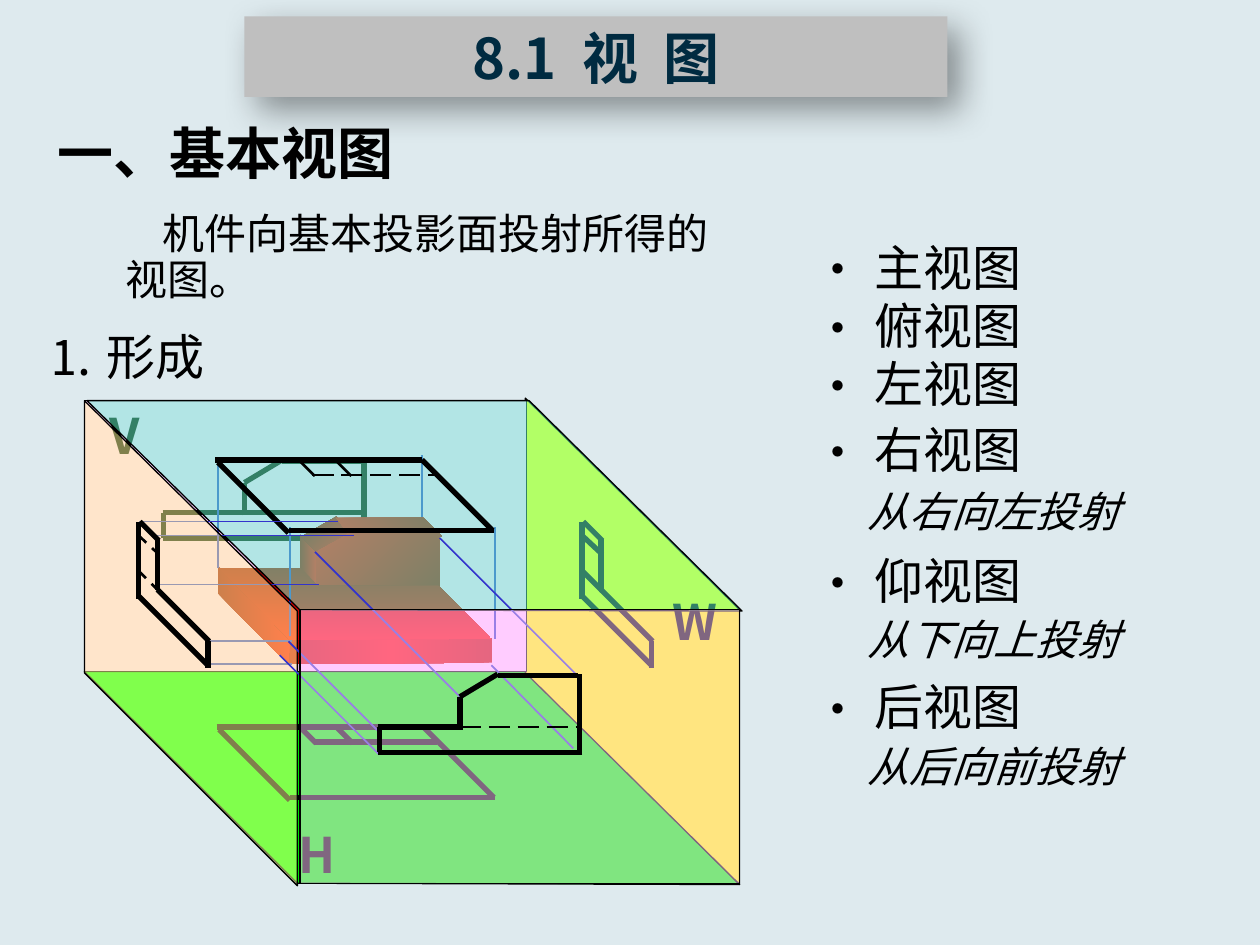
from lxml import etree
from pptx import Presentation
from pptx.dml.color import RGBColor
from pptx.enum import dml, shapes, text
from pptx.oxml import parse_xml
from pptx.oxml.ns import nsdecls, qn
from pptx.util import Inches, Pt

THEME = {
    "font": "Noto Sans CJK SC",
    "background": "DEEAEE", "banner": "BFBFBF", "title": "002B41", "ink": "000000",
    "ray": "3333CC", "floor": "00FF00", "side": "FFFF00", "back": "FFCCFF",
    "top": "66FFCC", "left": "FFFF99", "front": "FFCCFF",
    "heading size": 32, "list size": 28, "note size": 24,
    "thick": 3, "hidden": 1.5, "ray width": 1, "edge": 0.75,
}

# Content: (text, left, top, width, height, style)
TITLE = ["8.1", "视", "图"]
VIEWS = ["主视图", "俯视图", "左视图"]
CAPTIONS = [
    ("一、基本视图", 0.36, 0.89, 4.13, 0.64, {"size": "heading size", "bold": True}),
    ("⒈ 形成", -0.13, 2.54, 2.25, 0.57, {"center": True}),
    ("机件向基本投影面投射所得的视图。", 0.9, 1.63, 5.12, 0.83,
     {"size": "note size", "pitch": 26.3, "first": 0.29}),
]
MORE_VIEWS = [("右视图", 3.28, "从右向左投射", 3.8),
              ("仰视图", 4.32, "从下向上投射", 4.81),
              ("后视图", 5.32, "从后向前投射", 5.82)]
PLANE_LETTERS = [("V", 0.79, 3.17, 0.4, 0.57), ("W", 5.23, 4.64, 0.57, 0.57),
                 ("H", 2.31, 6.49, 0.42, 0.57)]

# Faces of the projection box: (points, colour, opacity in percent)
FLOOR = ([(0.67, 5.33), (4.17, 5.33), (5.87, 7.02), (2.36, 7.01)], "floor", 100)
SIDE = ([(4.17, 5.34), (5.87, 7.02), (5.87, 4.84), (4.17, 3.16)], "side", 100)
BACK = ([(0.67, 3.18), (4.18, 3.18), (4.18, 5.33), (0.67, 5.33)], "back", 100)
TOP = ([(0.69, 3.18), (4.2, 3.18), (5.89, 4.85), (2.38, 4.84)], "top", 50)
LEFT = ([(0.67, 5.34), (2.36, 7.03), (2.36, 4.85), (0.67, 3.18)], "left", 50)
FRONT = ([(2.38, 4.84), (5.87, 4.84), (5.87, 7.01), (2.38, 7.01)], "front", 50)

# Machine part: (points, gradient colours, angle)
PART = [
    ([(2.29, 5.07), (3.91, 5.06), (3.91, 5.26), (2.29, 5.27)], ["CC0000", "FF0000", "CC0000"], 0),
    ([(1.73, 4.49), (1.73, 4.71), (2.29, 5.27), (2.3, 5.07)], ["9B0000", "FF0000"], 0),
    ([(2.38, 4.24), (2.38, 4.52), (2.51, 4.65), (2.51, 4.38)], ["900000", "FF0000"], 0),
    ([(2.39, 4.26), (2.67, 4.1), (2.79, 4.24), (2.51, 4.38)], ["760000", "FF0000"], 45),
    ([(2.67, 4.11), (3.36, 4.11), (3.51, 4.26), (2.78, 4.26)], ["FF0000", "900000"], 315),
    ([(2.51, 4.38), (2.51, 4.65), (3.49, 4.66), (3.49, 4.23), (2.78, 4.23)],
     ["FF0000", "960000"], 45),
    ([(2.39, 4.51), (2.52, 4.65), (3.48, 4.65), (3.9, 5.07), (2.3, 5.08), (1.74, 4.51)],
     ["A00000", "FF0000"], 90),
]

# Views as (outline segments, segments that may be hidden), from their own origin
PLAN = ([(0, 0, 1.64, 0), (0.58, 0.56, 2.21, 0.56), (1.64, 0, 2.2, 0.56), (0.02, 0.02, 0.58, 0.58)],
        [(0.77, 0.12, 1.75, 0.12), (0.96, 0.01, 1.08, 0.13), (0.67, 0.01, 0.79, 0.13)])
ELEVATION = ([(0.65, 0.02, 0.65, -0.24), (0.65, -0.24, 0.95, -0.42), (1.62, 0.2, 0, 0.2),
              (1.6, 0.2, 1.6, -0.42), (1.59, -0.41, 0.95, -0.41), (0.01, 0, 0.01, 0.2),
              (0, 0, 0.65, 0)],
             [(0.65, 0, 1.6, 0)])
PROFILE = ([(0, 0, 0, 0.61), (0.15, 0.14, 0.15, 0.54), (0.01, 0, 0.16, 0.15),
            (0.55, 1.16, 0.55, 0.95), (0, 0.59, 0.55, 1.14), (0.15, 0.54, 0.56, 0.95)],
           [(0, 0.11, 0.16, 0.26), (0, 0.39, 0.16, 0.55)])

# Projection rays towards each face
RAYS_UP = [(1.73, 4.51, 1.73, 3.64), (2.3, 5.05, 2.3, 4.18), (3.93, 5.07, 3.93, 4.18),
           (3.35, 4.1, 3.35, 3.61)]
RAYS_LEFT = [(2.32, 5.27, 1.64, 5.27), (2.32, 5.09, 1.66, 5.09), (2.68, 4.14, 1.1, 4.14),
             (2.81, 4.25, 1.23, 4.25), (2.53, 4.64, 1.23, 4.64)]
RAYS_FRONT = [(3.9, 5.28, 4.55, 5.94), (2.22, 5.2, 3.01, 5.99), (2.29, 5.09, 3.01, 5.81),
              (3.49, 4.27, 4.59, 5.37), (2.5, 4.38, 3.67, 5.55)]

deck = Presentation()
deck.slide_width, deck.slide_height = Inches(10), Inches(7.5)
slide = deck.slides.add_slide(deck.slide_layouts[1])


def rgb(name):
    return RGBColor.from_string(THEME[name])


def write(paragraph, words, size="list size", color="ink", bold=False, italic=False, gap=None):
    run = paragraph.add_run()
    run.text = words
    run.font.color.rgb = rgb(color)
    formats = {"name": THEME["font"], "size": Pt(THEME[size]), "bold": bold, "italic": italic}
    for key, value in formats.items():
        setattr(run.font, key, value)
    properties = run.font._element
    etree.SubElement(properties, qn("a:ea"), typeface=THEME["font"])
    if gap:
        properties.set("spc", str(gap))


def place(box, left, top, width, height):
    box.left, box.top, box.width, box.height = map(Inches, (left, top, width, height))


def set_frame(box, wrap=True):
    frame = box.text_frame
    formats = {"word_wrap": wrap, "auto_size": text.MSO_AUTO_SIZE.NONE,
               "vertical_anchor": text.MSO_ANCHOR.MIDDLE}
    for key, value in formats.items():
        setattr(frame, key, value)
    return frame


def bullet(paragraph):
    properties = paragraph._p.get_or_add_pPr()
    properties.set("marL", str(Inches(0.48)))
    properties.set("indent", str(Inches(-0.48)))
    etree.SubElement(properties, qn("a:buFont"), typeface=THEME["font"])
    etree.SubElement(properties, qn("a:buChar"), char="•")


def caption(words, left, top, width, height, center=False, pitch=None, first=0,
            listed=False, wrap=True, **style):
    box = slide.shapes.add_textbox(*map(Inches, (left, top, width, height)))
    paragraph = set_frame(box, wrap).paragraphs[0]
    paragraph.alignment = text.PP_ALIGN.CENTER if center else text.PP_ALIGN.LEFT
    if pitch:
        paragraph.line_spacing = Pt(pitch)
    if first:
        paragraph._p.get_or_add_pPr().set("indent", str(Inches(first)))
    if listed:
        bullet(paragraph)
    write(paragraph, words, **style)


def polygon(points):
    corners = [(Inches(x), Inches(y)) for x, y in points]
    builder = slide.shapes.build_freeform(*corners[0], scale=1.0)
    builder.add_line_segments(corners[1:], close=True)
    shape = builder.convert_to_shape()
    shape.shadow.inherit = False
    return shape


def face(points, color, opacity):
    shape = polygon(points)
    shape.fill.solid()
    shape.fill.fore_color.rgb = rgb(color)
    shape.line.color.rgb = rgb("ink")
    shape.line.width = Pt(THEME["edge"])
    if opacity < 100:
        tint = shape._element.spPr.find(qn("a:solidFill"))[0]
        etree.SubElement(tint, qn("a:alpha"), val=str(opacity * 1000))


def solid_part(points, colors, angle):
    shape = polygon(points)
    shape.line.fill.background()
    stops = "".join(f'<a:gs pos="{100000 * i // (len(colors) - 1)}"><a:srgbClr val="{c}"/></a:gs>'
                    for i, c in enumerate(colors))
    gradient = parse_xml(f'<a:gradFill {nsdecls("a")} rotWithShape="1"><a:gsLst>{stops}</a:gsLst>'
                         f'<a:lin ang="{angle * 60000}" scaled="0"/></a:gradFill>')
    shape._element.spPr.find(qn("a:custGeom")).addnext(gradient)


def segments(ends, color="ink", width="thick", dash=None, origin=(0, 0)):
    dx, dy = origin
    for x1, y1, x2, y2 in ends:
        line = slide.shapes.add_connector(shapes.MSO_CONNECTOR.STRAIGHT, Inches(x1 + dx),
                                          Inches(y1 + dy), Inches(x2 + dx), Inches(y2 + dy))
        line.line.color.rgb = rgb(color)
        line.line.width = Pt(THEME[width])
        if dash:
            line.line.dash_style = dash
        etree.SubElement(line._element.spPr, qn("a:effectLst"))


def view(drawing, origin, dash=None):
    outline, hidden = drawing
    segments(outline, origin=origin)
    segments(hidden, width="hidden" if dash else "thick", dash=dash, origin=origin)


# Background and banner title
slide.background.fill.solid()
slide.background.fill.fore_color.rgb = rgb("background")
banner = slide.shapes.title
place(banner, 1.94, 0.13, 5.58, 0.64)
banner.fill.solid()
banner.fill.fore_color.rgb = rgb("banner")
banner._element.spPr.append(parse_xml(
    f'<a:effectLst {nsdecls("a")}><a:outerShdw blurRad="254000" dist="127000" dir="2700000" '
    'algn="tl" rotWithShape="0"><a:srgbClr val="000000"><a:alpha val="40000"/></a:srgbClr>'
    '</a:outerShdw></a:effectLst>'))
heading = set_frame(banner).paragraphs[0]
heading.alignment = text.PP_ALIGN.CENTER
for i, word in enumerate(TITLE):
    if i:
        write(heading, " ", "heading size", "title", True, gap=720)
    write(heading, word, "heading size", "title", True)

# List of views and captions
views = slide.placeholders[1]
place(views, 6.36, 1.82, 1.95, 1.52)
frame = set_frame(views)
for i, name in enumerate(VIEWS):
    item = frame.add_paragraph() if i else frame.paragraphs[0]
    item.space_before, item.line_spacing = Pt(0), Pt(33.4)
    bullet(item)
    write(item, name)
for words, *area, style in CAPTIONS:
    caption(words, *area, **style)
for name, name_top, note, note_top in MORE_VIEWS:
    caption(name, 6.36, name_top, 2.81, 0.57, listed=True)
    caption(note, 6.79, note_top, 3.21, 0.51, size="note size", italic=True)

# Projection box, from the rear faces to the front one
for rear in (FLOOR, SIDE, BACK):
    face(*rear)
for letter in PLANE_LETTERS:
    caption(*letter, center=True, bold=True, wrap=False)
view(PLAN, (1.72, 5.77))
view(PROFILE, (4.62, 4.14))
view(ELEVATION, (1.29, 4.07))
for surface in PART:
    solid_part(*surface)

LONG_DASH, DASH = dml.MSO_LINE.LONG_DASH, dml.MSO_LINE.DASH
for rays, plane, drawing, origin, dash in [
        (RAYS_UP, TOP, PLAN, (1.71, 3.65), LONG_DASH),
        (RAYS_LEFT, LEFT, PROFILE, (1.1, 4.14), DASH),
        (RAYS_FRONT, FRONT, ELEVATION, (3, 5.77), LONG_DASH)]:
    segments(rays, "ray", "ray width")
    face(*plane)
    view(drawing, origin, dash)

deck.save("out.pptx")
